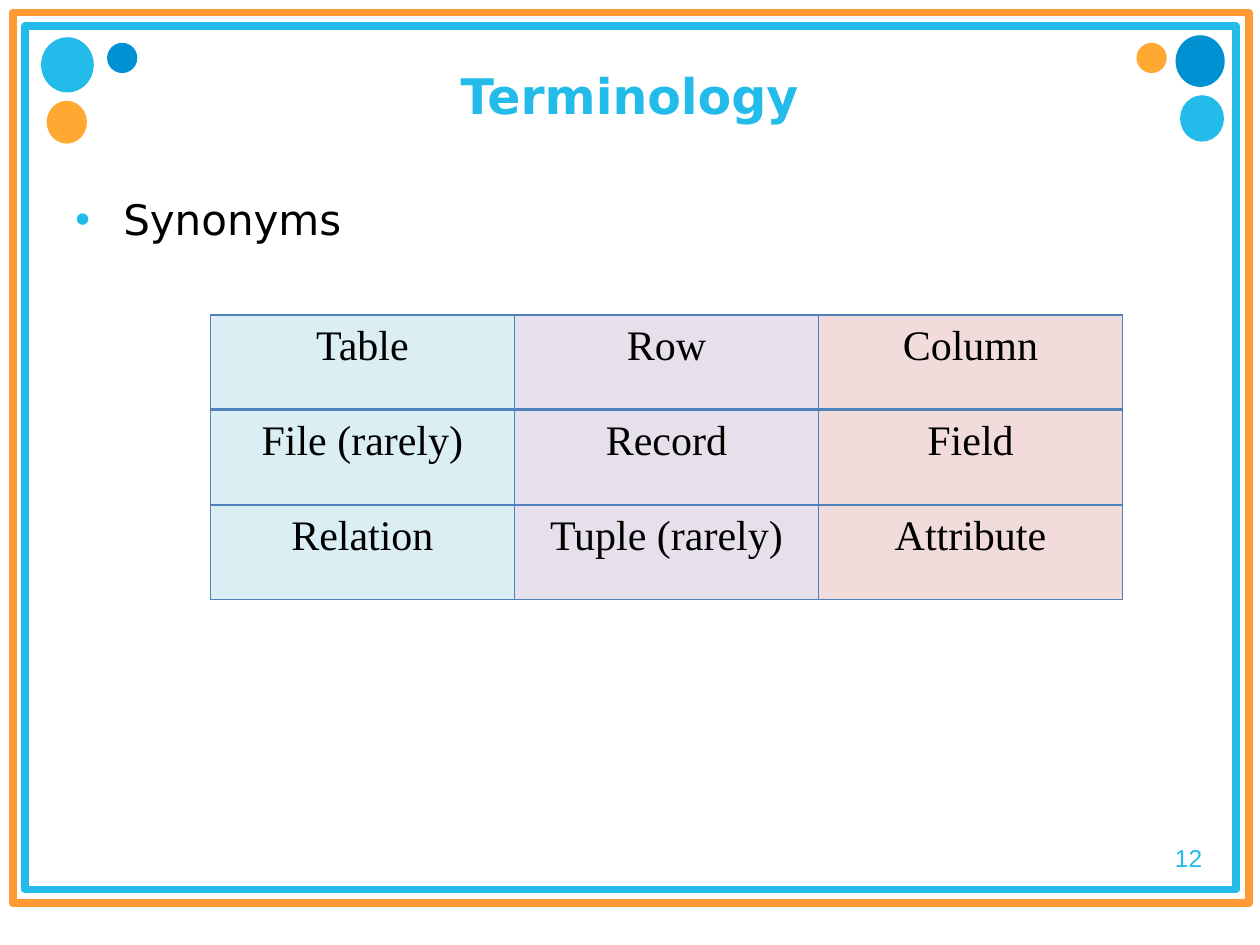
from lxml import etree
from pptx import Presentation
from pptx.dml.color import RGBColor
from pptx.enum.shapes import MSO_SHAPE
from pptx.enum.text import MSO_ANCHOR, PP_ALIGN
from pptx.oxml.ns import qn
from pptx.util import Inches, Pt

RECTANGLE, OVAL = MSO_SHAPE.RECTANGLE, MSO_SHAPE.OVAL
TOP, MIDDLE = MSO_ANCHOR.TOP, MSO_ANCHOR.MIDDLE
LEFT, CENTER, RIGHT = PP_ALIGN.LEFT, PP_ALIGN.CENTER, PP_ALIGN.RIGHT

SKY, BLUE, ORANGE, AMBER = "22BBEA", "0091D2", "FF9933", "FF990F"
WHITE, BLACK, BORDER = "FFFFFF", "000000", "4F81BD"
TIGHT = 0.78

# position, fill, outline width, opacity
DOTS = [
    ((0.34, 0.31, 0.39, 0.41), SKY, 2, 100),
    ((0.85, 0.34, 0.24, 0.24), BLUE, 0, 100),
    ((0.37, 0.8, 0.32, 0.34), AMBER, 0, 85),
    ((9.33, 0.28, 0.39, 0.41), BLUE, 0, 100),
    ((9.38, 0.77, 0.32, 0.34), SKY, 2, 100),
    ((9.02, 0.34, 0.24, 0.24), AMBER, 0, 85),
]
SYNONYMS = [
    ["Table", "Row", "Column"],
    ["File (rarely)", "Record", "Field"],
    ["Relation", "Tuple (rarely)", "Attribute"],
]
COLUMN_FILLS = ["DBEEF4", "E6E0EC", "F2DCDB"]


def color(value):
    return RGBColor.from_string(value)


def add_child(parent, tag, **attributes):
    child = etree.SubElement(parent, qn(tag))
    for name, value in attributes.items():
        child.set(name, str(value))
    return child


def add_shape(page, kind, position, fill=None, line=None, width=0, opacity=100):
    shape = page.shapes.add_shape(kind, *map(Inches, position))
    shape.shadow.inherit = False
    if fill:
        shape.fill.solid()
        shape.fill.fore_color.rgb = color(fill)
        if opacity < 100:
            value = shape.fill._xPr.find(".//" + qn("a:srgbClr"))
            add_child(value, "a:alpha", val=opacity * 1000)
    else:
        shape.fill.background()
    if width:
        shape.line.color.rgb = color(line)
        shape.line.width = Pt(width)
    else:
        shape.line.fill.background()


def write(frame, text, align, spacing=None, ink=BLACK, **font):
    para = frame.paragraphs[0]
    para.alignment = align
    para.line_spacing = spacing
    span = para.add_run()
    span.text = text
    span.font.color.rgb = color(ink)
    for name, value in font.items():
        setattr(span.font, name, value)
    return para


def add_text(page, position, text, align, anchor=TOP, **style):
    frame = page.shapes.add_textbox(*map(Inches, position)).text_frame
    frame.word_wrap = True
    frame.vertical_anchor = anchor
    return write(frame, text, align, **style)


def add_bullet(para):
    properties = para._p.get_or_add_pPr()
    properties.set("marL", str(Inches(0.38)))
    properties.set("indent", str(Inches(-0.38)))
    add_child(add_child(properties, "a:spcBef"), "a:spcPct", val=20000)
    add_child(add_child(properties, "a:buClr"), "a:srgbClr", val=SKY)
    add_child(properties, "a:buFont", typeface="Arial")
    add_child(properties, "a:buChar", char="•")


def add_borders(cell, widths):
    properties = cell._tc.get_or_add_tcPr()
    for side, width in widths.items():
        line = add_child(properties, "a:ln" + side, w=Pt(width))
        add_child(add_child(line, "a:solidFill"), "a:srgbClr", val=BORDER)


def add_synonym_table(page):
    row_count, column_count = len(SYNONYMS), len(COLUMN_FILLS)
    position = map(Inches, (1.67, 2.5, 7.24, 2.26))
    table = page.shapes.add_table(row_count, column_count, *position).table
    table.first_row = table.horz_banding = False
    for row, words in enumerate(SYNONYMS):
        for column, (word, fill) in enumerate(zip(words, COLUMN_FILLS)):
            cell = table.cell(row, column)
            # The rule under the heading row is heavier
            add_borders(cell, {"L": 1, "R": 1, "T": 2 if row == 1 else 1,
                               "B": 2 if row == 0 else 1})
            cell.fill.solid()
            cell.fill.fore_color.rgb = color(fill)
            cell.margin_top = Inches(0.13)
            write(cell.text_frame, word, CENTER, TIGHT,
                  name="Times New Roman", size=Pt(24))


def main():
    deck = Presentation()
    deck.slide_width, deck.slide_height = Inches(10), Inches(7.5)
    page = deck.slides.add_slide(deck.slide_layouts[6])

    # Double frame and corner dots
    add_shape(page, RECTANGLE, (0.2, 0.21, 9.61, 6.85), WHITE, SKY, 4.5)
    add_shape(page, RECTANGLE, (0.1, 0.1, 9.81, 7.07), None, ORANGE, 4.5)
    for position, fill, width, opacity in DOTS:
        add_shape(page, OVAL, position, fill, fill, width, opacity)

    # Page number, title and bullet
    add_text(page, (8.62, 6.66, 1.02, 0.34), "12", RIGHT, MIDDLE,
             spacing=TIGHT, ink=SKY, name="Arial", size=Pt(14))
    add_text(page, (0.5, 0.24, 8.99, 1.03), "Terminology", CENTER, MIDDLE,
             ink=SKY, name="DejaVu Sans", size=Pt(28), bold=True)
    add_bullet(add_text(page, (0.5, 1.49, 8.99, 4.28), "Synonyms", LEFT,
                        name="DejaVu Sans", size=Pt(24)))

    # Synonyms by column
    add_synonym_table(page)
    deck.save("out.pptx")


if __name__ == "__main__":
    main()
